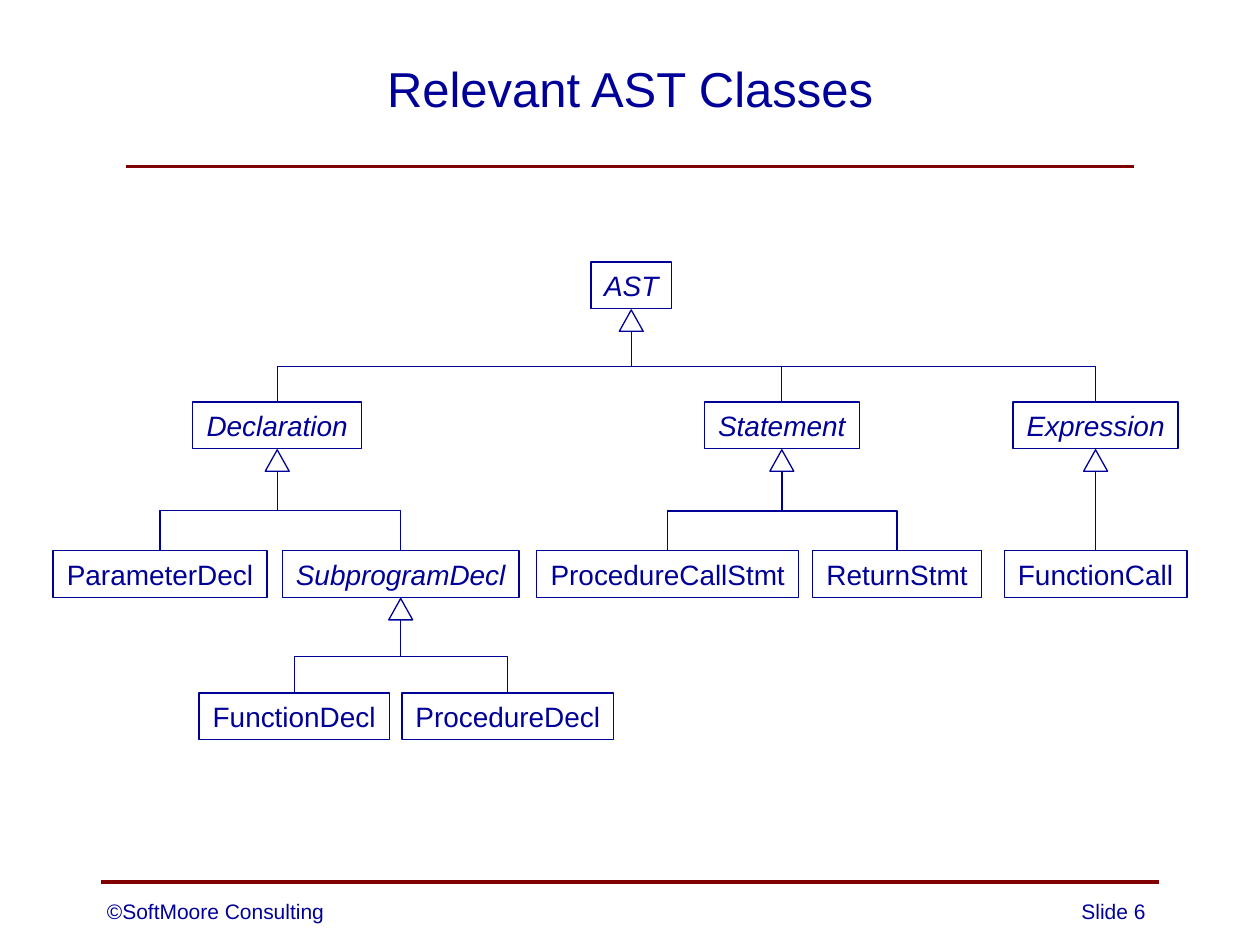
from lxml.etree import SubElement
from pptx import Presentation
from pptx.dml.color import RGBColor
from pptx.enum.shapes import MSO_CONNECTOR as Link, MSO_SHAPE as Shape
from pptx.enum.text import MSO_ANCHOR as Anchor, PP_ALIGN as Align
from pptx.oxml.ns import qn
from pptx.util import Inches, Pt

NAVY = RGBColor(0x00, 0x00, 0x99)
MAROON = RGBColor(0x80, 0x00, 0x00)
FONT = "Arial"
ROWS = (2.08, 3.19, 4.37, 5.5)
BOX_H = 0.37
TIP_DROP, TIP_W, TIP_H = 0.38, 0.19, 0.17
NODES = (
    ("AST", 0, 4.69, 0.64, True, None),
    ("Declaration", 1, 1.53, 1.34, True, "AST"),
    ("Statement", 1, 5.59, 1.23, True, "AST"),
    ("Expression", 1, 8.04, 1.31, True, "AST"),
    ("ParameterDecl", 2, 0.42, 1.7, False, "Declaration"),
    ("SubprogramDecl", 2, 2.24, 1.88, True, "Declaration"),
    ("ProcedureCallStmt", 2, 4.26, 2.08, False, "Statement"),
    ("ReturnStmt", 2, 6.45, 1.34, False, "Statement"),
    ("FunctionCall", 2, 7.97, 1.45, False, "Expression"),
    ("FunctionDecl", 3, 1.58, 1.51, False, "SubprogramDecl"),
    ("ProcedureDecl", 3, 3.19, 1.68, False, "SubprogramDecl"),
)


class Chart:
    """Draws class diagram parts on one slide in a shared style."""

    def __init__(self, slide):
        self.shapes = slide.shapes

    def add_text(self, shape, text, size, align, anchor, italic=False, wrap=True):
        frame = shape.text_frame
        frame.word_wrap = wrap
        frame.vertical_anchor = anchor
        para = frame.paragraphs[0]
        para.alignment = align
        run = para.add_run()
        run.text = text
        run.font.name = FONT
        run.font.size = Pt(size)
        run.font.italic = italic
        run.font.color.rgb = NAVY

    def label(self, text, area, size, align, anchor=Anchor.TOP):
        box = self.shapes.add_textbox(*map(Inches, area))
        self.add_text(box, text, size, align, anchor)

    def outline(self, kind, *area):
        shape = self.shapes.add_shape(kind, *map(Inches, area))
        shape.shadow.inherit = False
        shape.fill.background()
        shape.line.color.rgb = NAVY
        shape.line.width = Pt(0.75)
        return shape

    def node(self, text, left, top, width, italic):
        box = self.outline(Shape.RECTANGLE, left, top, width, BOX_H)
        self.add_text(box, text, 16, Align.CENTER, Anchor.MIDDLE, italic, False)

    def tip(self, mid, top):
        self.outline(Shape.ISOSCELES_TRIANGLE, mid - TIP_W / 2, top, TIP_W, TIP_H)

    def line(self, start, end, color, width, kind=Link.STRAIGHT):
        line = self.shapes.add_connector(kind, *map(Inches, start + end))
        line.line.color.rgb = color
        line.line.width = Pt(width)
        SubElement(line._element.spPr, qn("a:effectLst"))
        return line

    def branch(self, start, end):
        (x1, y1), (x2, y2) = start, end
        mid_x, mid_y = (x1 + x2) / 2, (y1 + y2) / 2
        half_w, half_h = (y1 - y2) / 2, abs(x2 - x1) / 2
        side, turn = (1, 90) if x1 <= x2 else (-1, 270)
        line = self.line(
            (mid_x + side * half_w, mid_y + half_h),
            (mid_x - side * half_w, mid_y - half_h),
            NAVY, 0.75, Link.ELBOW)
        line._element.spPr.find(qn("a:xfrm")).set("rot", str(turn * 60000))


def main():
    deck = Presentation()
    deck.slide_width, deck.slide_height = Inches(10), Inches(7.5)
    chart = Chart(deck.slides.add_slide(deck.slide_layouts[6]))

    chart.line((0.8, 7), (9.2, 7), MAROON, 2)
    chart.line((1, 1.32), (9, 1.32), MAROON, 2)
    chart.label("©SoftMoore Consulting", (0.75, 7.08, 3, 0.3), 12, Align.LEFT)
    chart.label("Slide 6", (7.19, 7.08, 2, 0.3), 12, Align.RIGHT)
    chart.label("Relevant AST Classes", (1, 0.15, 8, 1.1), 28, Align.CENTER, Anchor.MIDDLE)

    tips = {}
    for name, row, left, width, italic, parent in NODES:
        top, mid = ROWS[row], left + width / 2
        chart.node(name, left, top, width, italic)
        tips[name] = (mid, top + TIP_DROP)
        if parent:
            tip_x, tip_y = tips[parent]
            chart.branch((mid, top), (tip_x, tip_y + TIP_H))
    for parent in dict.fromkeys(node[-1] for node in NODES if node[-1]):
        chart.tip(*tips[parent])

    deck.save("out.pptx")


if __name__ == "__main__":
    main()
